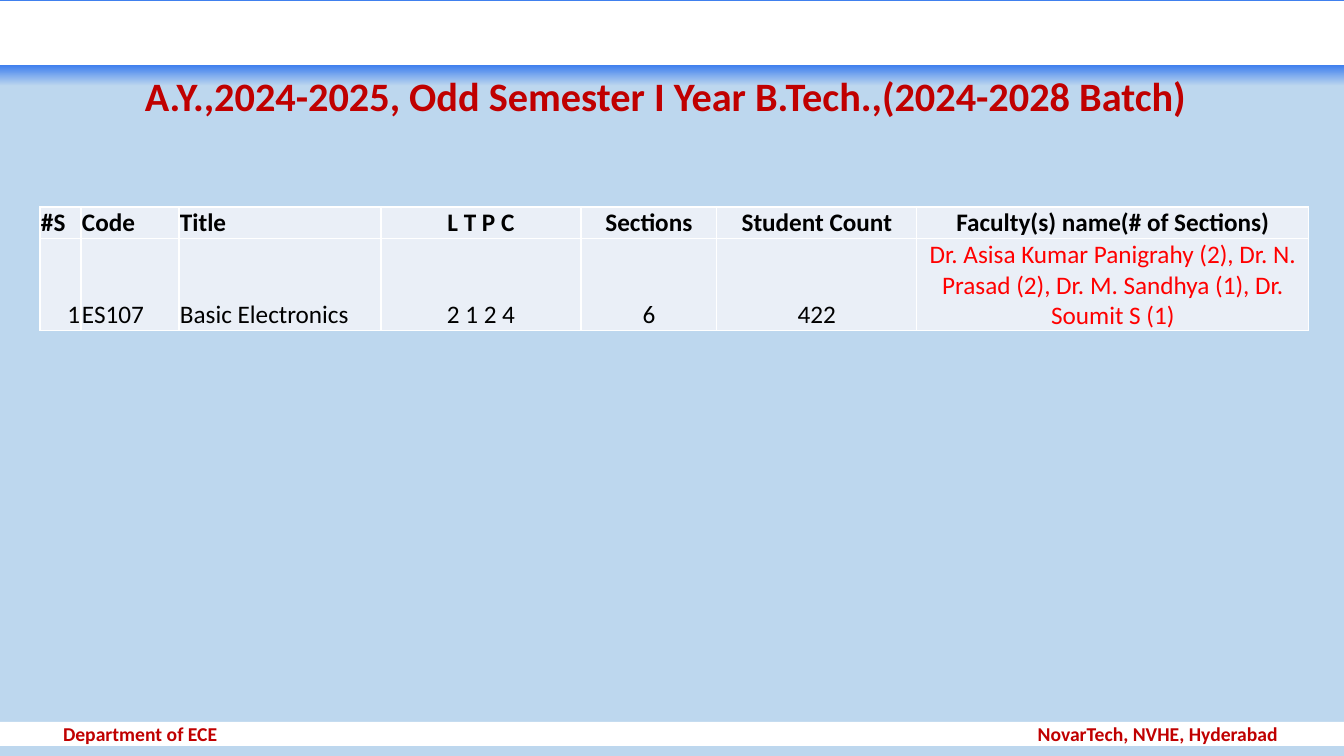
from lxml.etree import SubElement
from pptx import Presentation
from pptx.dml.color import RGBColor
from pptx.enum.shapes import MSO_SHAPE
from pptx.enum.text import MSO_ANCHOR, PP_ALIGN
from pptx.oxml.ns import qn
from pptx.util import Pt

LEFT, CENTER, RIGHT = PP_ALIGN.LEFT, PP_ALIGN.CENTER, PP_ALIGN.RIGHT
SLIDE_WIDTH, SLIDE_HEIGHT = 1344, 756
WHITE, SKY, BLUE, CRIMSON = "FFFFFF", "BDD7EE", "4080EE", "C00000"
PALE, BLACK, RED = "EAEFF7", "000000", "FF0000"

COLUMN_WIDTHS = [41, 98, 202, 200, 136, 200, 392]
ROW_HEIGHTS = [31, 92]
HEADINGS = ["#S", "Code", "Title", "L T P C", "Sections", "Student Count",
            "Faculty(s) name(# of Sections)"]
COURSE = ["1", "ES107", "Basic Electronics", "2 1 2 4", "6", "422",
          "Dr. Asisa Kumar Panigrahy (2), Dr. N. Prasad (2), "
          "Dr. M. Sandhya (1), Dr. Soumit S (1)"]


def px(length):
    return round(length * 914400 / 100.8)


def color(value):
    return RGBColor.from_string(value)


def write(frame, text, size=18, ink=BLACK, bold=False, align=LEFT, spacing=1.0):
    paragraph = frame.paragraphs[0]
    paragraph.alignment = align
    paragraph.line_spacing = spacing
    run = paragraph.add_run()
    run.text = text
    run.font.name = "Calibri"
    run.font.size = Pt(size)
    run.font.bold = bold
    run.font.color.rgb = color(ink)
    return paragraph


class CourseSlide:
    """Draws the parts of a course slide in one shared style."""

    def __init__(self, deck):
        self.slide = deck.slides.add_slide(deck.slide_layouts[6])
        self.slide.background.fill.solid()
        self.slide.background.fill.fore_color.rgb = color(SKY)

    def band(self, top, height, outline=None):
        bar = self.slide.shapes.add_shape(
            MSO_SHAPE.RECTANGLE, 0, px(top), px(SLIDE_WIDTH), px(height))
        bar.shadow.inherit = False
        bar.fill.solid()
        bar.fill.fore_color.rgb = color(WHITE)
        if outline:
            bar.line.color.rgb = color(outline)
            bar.line.width = Pt(1)
        else:
            bar.line.fill.background()
        return bar

    def glow(self, height, start):
        fill = self.band(0, height).fill
        fill.gradient()
        fill.gradient_angle = 270
        for stop, shade, position in zip(fill.gradient_stops, (BLUE, SKY), (start, 1)):
            stop.color.rgb = color(shade)
            stop.position = position

    def frame(self, shape, left=0, right=0):
        frame = shape.text_frame
        frame.word_wrap = True
        frame.vertical_anchor = MSO_ANCHOR.MIDDLE
        frame.margin_left, frame.margin_right = px(left), px(right)
        frame.margin_top = frame.margin_bottom = 0
        return frame

    def title(self, text):
        heading = self.slide.shapes.add_textbox(px(10), px(71), px(1324), px(54))
        write(self.frame(heading, right=12), text, size=28.8, ink=CRIMSON,
              bold=True, align=CENTER, spacing=0.9)

    def footer(self, department, institute):
        bar = self.band(722, 24)
        line = write(self.frame(bar, left=63, right=56), f"{department}\t{institute}",
                     size=14, ink=CRIMSON, bold=True)
        tabs = SubElement(line._p.get_or_add_pPr(), qn("a:tabLst"))
        SubElement(tabs, qn("a:tab"), pos=str(px(1215)), algn="r")

    def borders(self, cell):
        properties = cell._tc.get_or_add_tcPr()
        for side in ("a:lnL", "a:lnR", "a:lnT", "a:lnB"):
            edge = SubElement(properties, qn(side), w=str(Pt(1)))
            SubElement(SubElement(edge, qn("a:solidFill")), qn("a:srgbClr"), val=WHITE)

    def cell(self, cell, text, anchor=MSO_ANCHOR.BOTTOM, **style):
        self.borders(cell)
        cell.fill.solid()
        cell.fill.fore_color.rgb = color(PALE)
        cell.vertical_anchor = anchor
        cell.margin_left = cell.margin_right = cell.margin_top = px(1)
        cell.margin_bottom = 0
        write(cell.text_frame, text, **style)

    def courses(self, left, top):
        table = self.slide.shapes.add_table(
            len(ROW_HEIGHTS), len(COLUMN_WIDTHS), px(left), px(top),
            px(sum(COLUMN_WIDTHS)), px(sum(ROW_HEIGHTS))).table
        table.first_row = table.horz_banding = False
        for row, height in zip(table.rows, ROW_HEIGHTS):
            row.height = px(height)
        faculty = len(COLUMN_WIDTHS) - 1
        for index, width in enumerate(COLUMN_WIDTHS):
            table.columns[index].width = px(width)
            align = LEFT if index < 3 else CENTER
            self.cell(table.cell(0, index), HEADINGS[index], bold=True, align=align)
            self.cell(table.cell(1, index), COURSE[index],
                      anchor=MSO_ANCHOR.MIDDLE if index == faculty else MSO_ANCHOR.BOTTOM,
                      ink=RED if index == faculty else BLACK,
                      align=RIGHT if index == 0 else align)


def main():
    deck = Presentation()
    deck.slide_width, deck.slide_height = px(SLIDE_WIDTH), px(SLIDE_HEIGHT)
    page = CourseSlide(deck)
    page.glow(86, start=0.76)
    page.band(2, 62, outline=WHITE)
    page.title("A.Y.,2024-2025, Odd Semester I Year B.Tech.,(2024-2028 Batch)")
    page.footer("Department of ECE", "NovarTech, NVHE, Hyderabad")
    page.courses(40, 207)
    deck.save("out.pptx")


if __name__ == "__main__":
    main()
